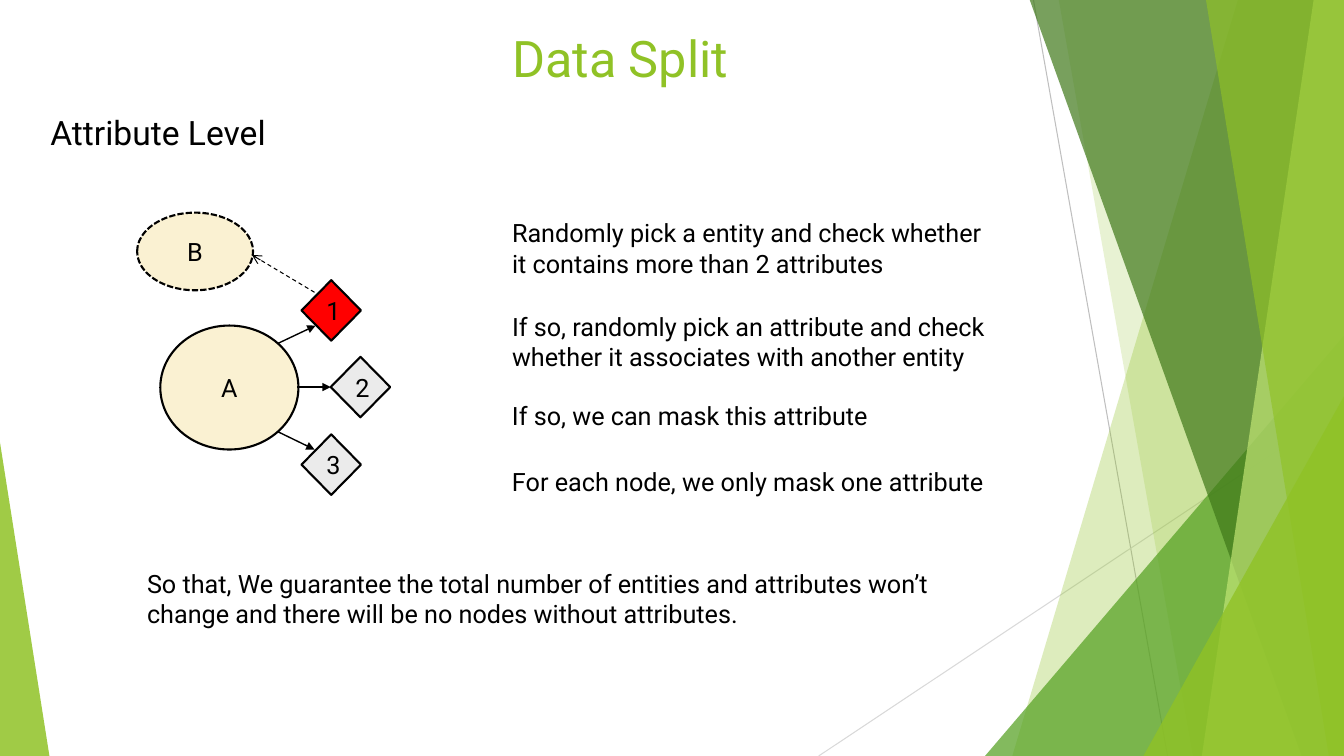
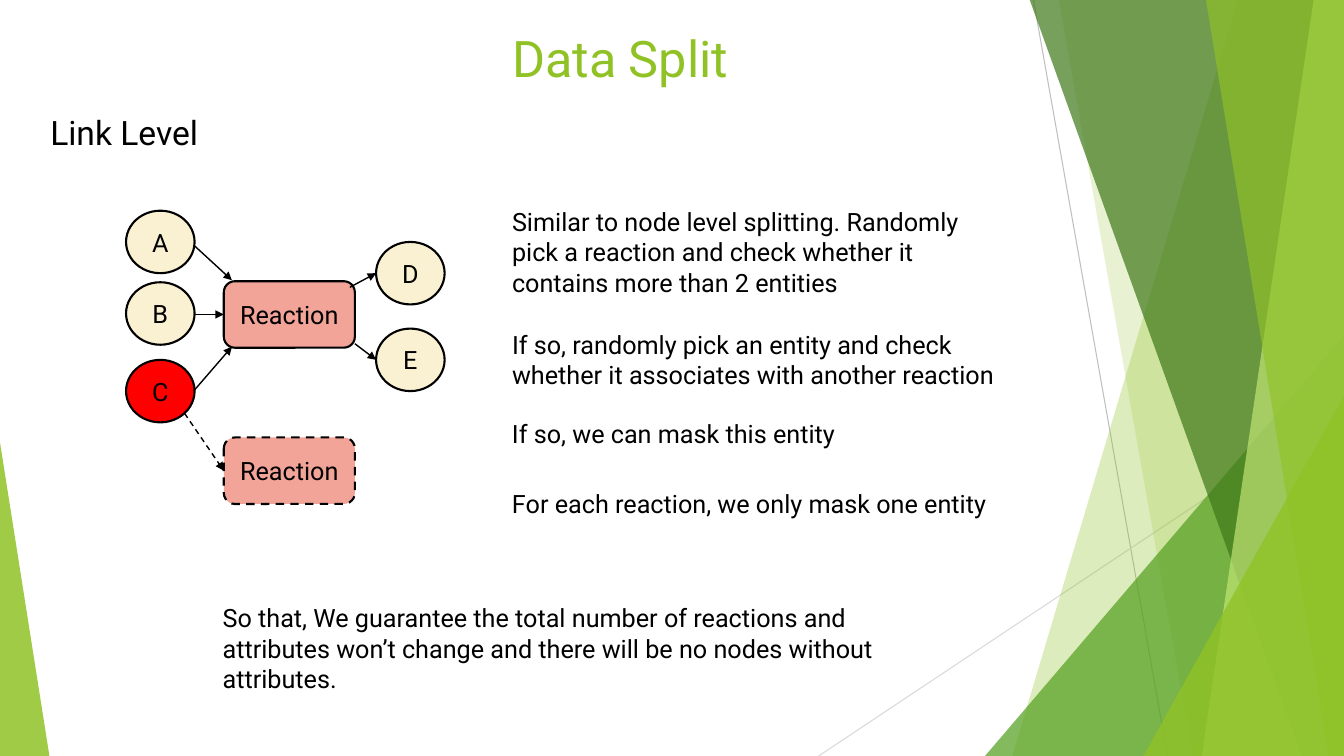
from dataclasses import dataclass

from lxml import etree
from pptx import Presentation
from pptx import util as u
from pptx.dml import color
from pptx.enum import dml, shapes, text
from pptx.oxml import ns

EMU_PER_PX = 9144
WIDTH, HEIGHT = 1333, 750
FONT = "Roboto"
COLORS = {
    "text": "000000", "title": "90C226", "lime": "90C226", "leaf": "54A021",
    "forest": "3F7819", "pale": "C0E474", "ray": "BFBFBF", "soft_ray": "D9D9D9",
    "entity": "FAF1D2", "masked": "FF0000", "attribute": "EBEBEB", "reaction": "F2A499",
}
KINDS = shapes.MSO_SHAPE
DASH = dml.MSO_LINE.DASH
SHORT_DASH = dml.MSO_LINE.SQUARE_DOT


@dataclass
class Band:
    top_x: int
    bottom_x: int
    fill: str
    opacity: int


@dataclass
class Corner:
    left: int
    top: int
    width: int
    peak: int
    fill: str
    opacity: int


@dataclass
class Node:
    kind: shapes.MSO_SHAPE
    label: str
    left: int
    top: int
    width: int
    height: int
    fill: str
    dash: dml.MSO_LINE | None = None


@dataclass
class Arrow:
    start: tuple[int, int]
    end: tuple[int, int]
    target: int | None = None
    dash: dml.MSO_LINE | None = None
    weight: float = 1
    head: str = "triangle"


@dataclass
class Note:
    words: str
    left: int
    top: int
    width: int
    height: int
    size: int = 18


@dataclass
class Topic:
    level: str
    nodes: list[Node]
    arrows: list[Arrow]
    notes: list[Note]


RAYS = [((1025, 0), (1158, HEIGHT), "ray"), ((WIDTH, 403), (812, HEIGHT), "soft_ray")]
BACKDROP = [
    Band(1228, 1004, "lime", 30),
    Band(1050, 1183, "lime", 20),
    Corner(977, 333, 356, 1, "leaf", 72),
    Band(1021, 1291, "forest", 70),
    Band(1303, 1192, "pale", 70),
    Band(1196, 1318, "lime", 65),
    Corner(1134, 393, 199, 1, "lime", 80),
    Corner(0, 439, 49, 0, "lime", 85),
]


def diamond(label: str, left: int, top: int, fill: str = "attribute") -> Node:
    return Node(KINDS.DIAMOND, label, left, top, 59, 60, fill)


def circle(label: str, left: int, top: int, fill: str = "entity") -> Node:
    return Node(KINDS.OVAL, label, left, top, 68, 62, fill)


def reaction(top: int, dash: dml.MSO_LINE | None = None) -> Node:
    return Node(KINDS.ROUNDED_RECTANGLE, "Reaction", 222, top, 130, 66, "reaction", dash)


def step(words: str, top: int, lines: int = 1, width: int = 505) -> Note:
    return Note(words, 498, top, width, 10 + 30 * lines)


TOPICS = [
    Topic(
        "Attribute Level",
        [
            Node(KINDS.OVAL, "A", 159, 323, 137, 123, "entity"),
            diamond("1", 299, 278, "masked"),
            diamond("2", 328, 354),
            diamond("3", 299, 431),
            Node(KINDS.OVAL, "B", 136, 211, 115, 77, "entity", SHORT_DASH),
        ],
        [
            Arrow((275, 341), (313, 323)),
            Arrow((295, 384), (328, 384), target=2),
            Arrow((275, 428), (312, 446)),
            Arrow((312, 290), (250, 253), dash=DASH, weight=0.75, head="arrow"),
        ],
        [
            step("Randomly pick a entity and check whether it contains more than 2 attributes", 211, 2),
            step("If so, randomly pick an attribute and check whether it associates with another entity", 304, 2),
            step("If so, we can mask this attribute", 392, width=667),
            step("For each node, we only mask one attribute", 458, width=667),
            Note("So that, We guarantee the total number of entities and attributes won’t change "
                 "and there will be no nodes without attributes.", 136, 559, 868, 71),
        ],
    ),
    Topic(
        "Link Level",
        [
            reaction(279),
            circle("A", 125, 209),
            circle("B", 125, 280),
            circle("C", 125, 357, "masked"),
            circle("D", 373, 240),
            circle("E", 373, 326),
            reaction(434, DASH),
        ],
        [
            Arrow((347, 285), (373, 271)),
            Arrow((192, 243), (230, 278)),
            Arrow((192, 312), (222, 312), target=0),
            Arrow((192, 388), (230, 344)),
            Arrow((352, 341), (373, 357)),
            Arrow((183, 410), (222, 467), target=6, dash=DASH),
        ],
        [
            step("Similar to node level splitting. Randomly pick a reaction and check whether it "
                 "contains more than 2 entities", 200, 3),
            step("If so, randomly pick an entity and check whether it associates with another reaction",
                 322, 2, 535),
            step("If so, we can mask this entity", 410, width=667),
            step("For each reaction, we only mask one entity", 480, width=667),
            Note("So that, We guarantee the total number of reactions and attributes won’t change "
                 "and there will be no nodes without attributes.", 211, 593, 667, 101),
        ],
    ),
]


def px(*lengths: int) -> list[u.Emu]:
    return [u.Emu(length * EMU_PER_PX) for length in lengths]


def rgb(name: str) -> color.RGBColor:
    return color.RGBColor.from_string(COLORS[name])


def write(frame, words: str, size: int, ink: str = "text", align=text.PP_ALIGN.LEFT) -> None:
    frame.text = words
    frame.word_wrap = True
    para = frame.paragraphs[0]
    para.alignment = align
    for span in para.runs:
        span.font.name = FONT
        span.font.size = u.Pt(size)
        span.font.color.rgb = rgb(ink)


def paint(shape, fill: str, opacity: int) -> None:
    shape.shadow.inherit = False
    shape.line.fill.background()
    shape.fill.solid()
    shape.fill.fore_color.rgb = rgb(fill)
    tint = next(shape.element.spPr.iter(ns.qn("a:srgbClr")))
    etree.SubElement(tint, ns.qn("a:alpha"), val=str(opacity * 1000))


def add_line(canvas, start: tuple[int, int], end: tuple[int, int], ink: str, weight: float):
    line = canvas.add_connector(shapes.MSO_CONNECTOR.STRAIGHT, *px(*start, *end))
    line.line.color.rgb = rgb(ink)
    line.line.width = u.Pt(weight)
    etree.SubElement(line.element.spPr, ns.qn("a:effectLst"))
    return line


def add_band(canvas, band: Band) -> None:
    outline = canvas.build_freeform(*px(band.top_x, -1), scale=1.0)
    corners = [(WIDTH, -1), (WIDTH, HEIGHT), (band.bottom_x, HEIGHT)]
    outline.add_line_segments([tuple(px(*corner)) for corner in corners], close=True)
    paint(outline.convert_to_shape(), band.fill, band.opacity)


def add_corner(canvas, corner: Corner) -> None:
    shape = canvas.add_shape(
        KINDS.ISOSCELES_TRIANGLE,
        *px(corner.left, corner.top, corner.width, HEIGHT - corner.top))
    shape.adjustments[0] = corner.peak
    paint(shape, corner.fill, corner.opacity)


def add_backdrop(deck, page) -> None:
    group = page.shapes.add_group_shape()
    for start, end, ink in RAYS:
        add_line(group.shapes, start, end, ink, 0.75)
    for part in BACKDROP:
        if isinstance(part, Band):
            add_band(group.shapes, part)
        else:
            add_corner(group.shapes, part)
    for number, label in enumerate(group.element.iter(ns.qn("p:cNvPr")), 100):
        label.set("id", str(number))
    deck.slide_master.shapes.element.append(group.element)


def add_node(page, node: Node):
    shape = page.shapes.add_shape(node.kind, *px(node.left, node.top, node.width, node.height))
    shape.shadow.inherit = False
    shape.fill.solid()
    shape.fill.fore_color.rgb = rgb(node.fill)
    shape.line.color.rgb = rgb("text")
    shape.line.width = u.Pt(1.5)
    if node.dash:
        shape.line.dash_style = node.dash
    write(shape.text_frame, node.label, 18, align=text.PP_ALIGN.CENTER)
    shape.text_frame.vertical_anchor = text.MSO_ANCHOR.MIDDLE
    return shape


def add_arrow(page, arrow: Arrow, nodes: list) -> None:
    line = add_line(page.shapes, arrow.start, arrow.end, "text", arrow.weight)
    if arrow.dash:
        line.line.dash_style = arrow.dash
    if arrow.target is not None:
        line.end_connect(nodes[arrow.target], 1)
    stroke = line.element.spPr.find(ns.qn("a:ln"))
    etree.SubElement(stroke, ns.qn("a:tailEnd"), type=arrow.head)


def add_note(page, note: Note) -> None:
    box = page.shapes.add_textbox(*px(note.left, note.top, note.width, note.height))
    write(box.text_frame, note.words, note.size)
    box.text_frame.auto_size = text.MSO_AUTO_SIZE.SHAPE_TO_FIT_TEXT


def add_title(page, words: str) -> None:
    title = page.shapes.title
    title.left, title.top, title.width, title.height = px(498, 22, 685, 126)
    write(title.text_frame, words, 36, "title")
    title.text_frame.vertical_anchor = text.MSO_ANCHOR.TOP
    title.text_frame.auto_size = text.MSO_AUTO_SIZE.NONE


def add_page(deck, topic: Topic):
    page = deck.slides.add_slide(deck.slide_layouts[5])
    add_title(page, "Data Split")
    add_note(page, Note(topic.level, 40, 106, 412, 50, 24))
    nodes = [add_node(page, node) for node in topic.nodes]
    for arrow in topic.arrows:
        add_arrow(page, arrow, nodes)
    for note in topic.notes:
        add_note(page, note)
    return page


def main() -> None:
    deck = Presentation()
    deck.slide_width, deck.slide_height = px(WIDTH, HEIGHT)
    pages = [add_page(deck, topic) for topic in TOPICS]
    add_backdrop(deck, pages[0])
    deck.save("out.pptx")


if __name__ == "__main__":
    main()
